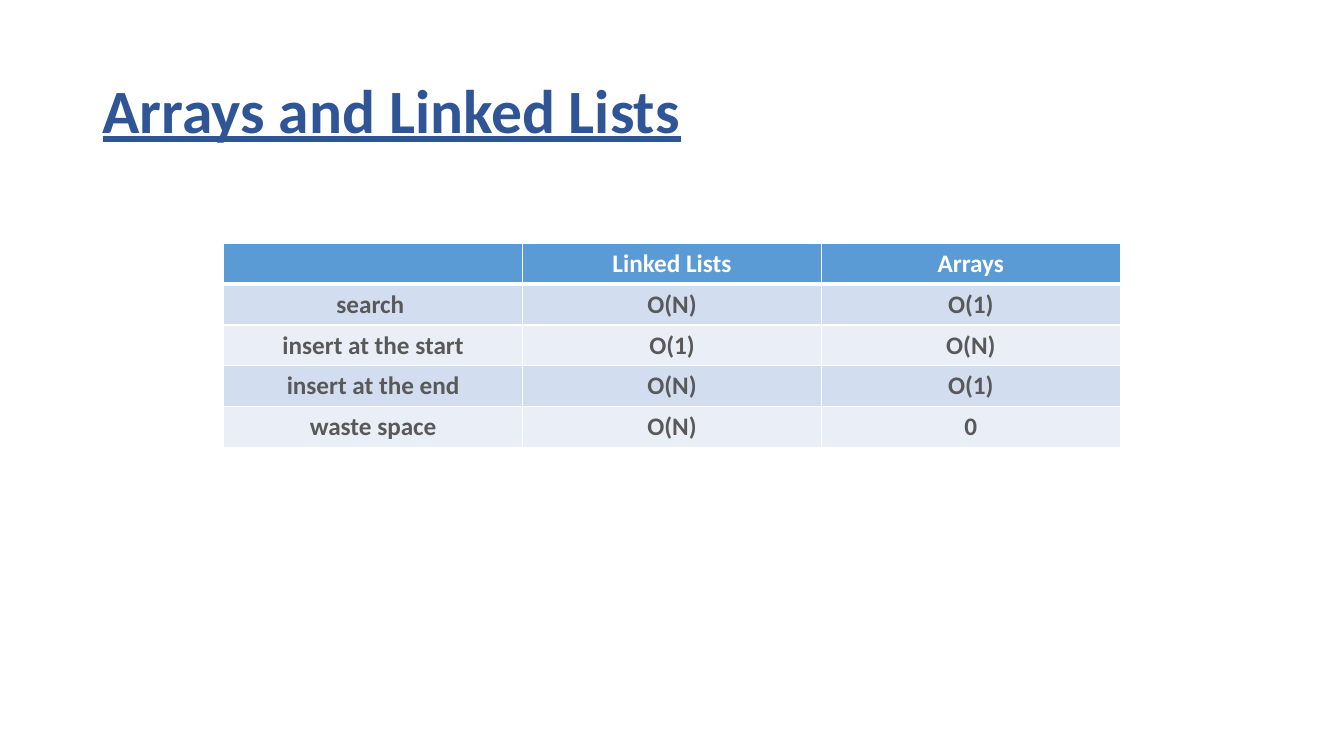
"""Build a slide that compares the costs of arrays and linked lists."""
from lxml import etree
from pptx import Presentation, util as u
from pptx.dml.color import RGBColor
from pptx.enum import text
from pptx.oxml import ns

TITLE = "Arrays and Linked Lists"
ROWS = [
    ("", "Linked Lists", "Arrays"),
    ("search ", "O(N)", "O(1)"),
    ("insert at the start", "O(1)", "O(N)"),
    ("insert at the end", "O(N)", "O(1)"),
    ("waste space", "O(N)", "0"),
]
COLORS = {
    "title": "2F5597",
    "header": "5B9BD5",
    "odd": "D2DEEF",
    "even": "EAEFF7",
    "white": "FFFFFF",
    "body": "595959",
}
COLUMN_WIDTH, ROW_HEIGHT = u.Cm(7.53), u.Cm(1.03)


def write(frame, content, size=18, color="body", align=text.PP_ALIGN.CENTER,
          underline=None, spacing=None):
    paragraph = frame.paragraphs[0]
    paragraph.alignment = align
    paragraph.line_spacing = spacing
    paragraph.font.size = u.Pt(size)
    if content:
        run = paragraph.add_run()
        run.text = content
        run.font.name = "Calibri"
        run.font.size = u.Pt(size)
        run.font.bold = True
        run.font.underline = underline
        run.font.color.rgb = RGBColor.from_string(COLORS[color])


def add_borders(cell, widths):
    properties = cell._tc.get_or_add_tcPr()
    for side, width in widths.items():
        line = etree.SubElement(properties, ns.qn(f"a:ln{side}"), w=str(u.Pt(width)))
        fill = etree.SubElement(line, ns.qn("a:solidFill"))
        etree.SubElement(fill, ns.qn("a:srgbClr"), val=COLORS["white"])


presentation = Presentation()
presentation.slide_width, presentation.slide_height = u.Cm(33.87), u.Cm(19.05)
slide = presentation.slides.add_slide(presentation.slide_layouts[5])

title = slide.shapes.title
title.left, title.top, title.width, title.height = map(u.Cm, (2.33, 1.01, 29.21, 3.68))
title.text_frame.vertical_anchor = text.MSO_ANCHOR.MIDDLE
title.text_frame.auto_size = text.MSO_AUTO_SIZE.NONE
write(title.text_frame, TITLE, size=44, color="title", align=text.PP_ALIGN.LEFT,
      underline=True, spacing=0.9)

table = slide.shapes.add_table(
    len(ROWS), len(ROWS[0]), u.Cm(5.64), u.Cm(6.13),
    COLUMN_WIDTH * len(ROWS[0]), ROW_HEIGHT * len(ROWS)).table
for column in table.columns:
    column.width = COLUMN_WIDTH
for row_index, row in enumerate(ROWS):
    table.rows[row_index].height = ROW_HEIGHT
    is_header = row_index == 0
    fill_name = "header" if is_header else ("even", "odd")[row_index % 2]
    for column_index, content in enumerate(row):
        cell = table.cell(row_index, column_index)
        add_borders(cell, {"L": 1, "R": 1, "T": 3 if row_index == 1 else 1,
                           "B": 3 if is_header else 1})
        cell.fill.solid()
        cell.fill.fore_color.rgb = RGBColor.from_string(COLORS[fill_name])
        write(cell.text_frame, content, color="white" if is_header else "body")

presentation.save("out.pptx")
